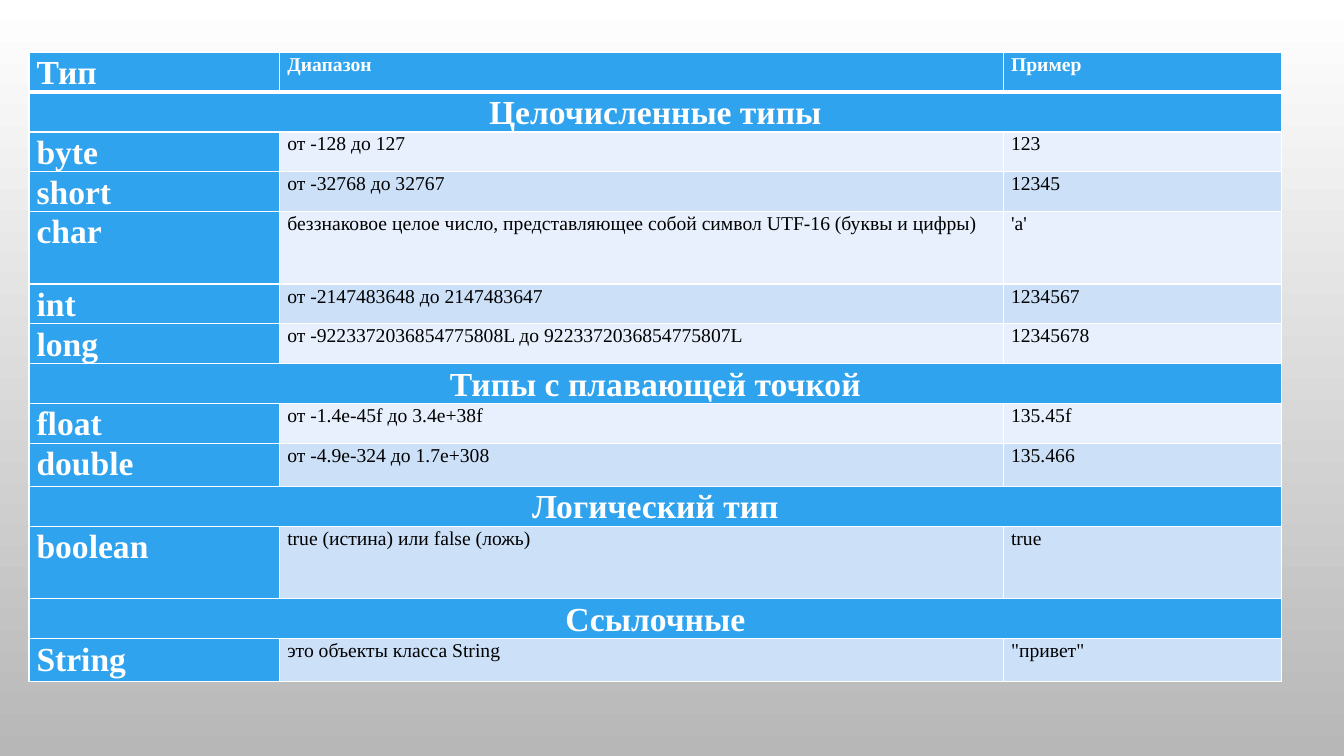
from dataclasses import dataclass

from lxml import etree
from pptx import Presentation
from pptx.dml.color import RGBColor
from pptx.enum import text
from pptx.oxml import ns
from pptx.util import Cm, Pt


@dataclass(frozen=True)
class Theme:
    font: str = "Times New Roman"
    large: int = 24
    small: int = 14
    white: str = "FFFFFF"
    black: str = "000000"
    grey: str = "B7B7B7"
    blue: str = "2FA3EE"
    bands: tuple = ("E7F0FC", "CCE0F8")


theme = Theme()


def add_borders(cell, bottom):
    """Draw white cell borders, 1 pt wide except for the given bottom width."""
    tc_pr = cell._tc.get_or_add_tcPr()
    widths = {"lnL": 1, "lnR": 1, "lnT": 1, "lnB": bottom}
    for i, (tag, width) in enumerate(widths.items()):
        ln = etree.Element(ns.qn(f"a:{tag}"), w=str(Pt(width)))
        fill = etree.SubElement(ln, ns.qn("a:solidFill"))
        etree.SubElement(fill, ns.qn("a:srgbClr"), val=theme.white)
        tc_pr.insert(i, ln)


# A row with one entry is a section heading across the whole table.
rows = [
    ("Тип", "Диапазон", "Пример"),
    ("Целочисленные типы",),
    ("byte", "от -128 до 127", "123"),
    ("short", "от -32768 до 32767", "12345"),
    ("char", "беззнаковое целое число, представляющее собой символ UTF-16 (буквы и цифры)", "'a'"),
    ("int", "от -2147483648 до 2147483647", "1234567"),
    ("long", "от -9223372036854775808L до 9223372036854775807L", "12345678"),
    ("Типы с плавающей точкой",),
    ("float", "от -1.4e-45f до 3.4e+38f", "135.45f"),
    ("double", "от -4.9e-324 до 1.7e+308", "135.466"),
    ("Логический тип",),
    ("boolean", "true (истина) или false (ложь)", "true"),
    ("Ссылочные",),
    ("String", "это объекты класса String", '"привет"'),
]
col_widths = [6.32, 18.24, 7.01]
row_height = 0.89
tall_rows = {"char": 1.83, "double": 1.09, "boolean": 1.83, "String": 1.09}
heights = [tall_rows.get(row[0], row_height) for row in rows]

prs = Presentation()
prs.slide_width, prs.slide_height = Cm(33.87), Cm(19.05)
s = prs.slides.add_slide(prs.slide_layouts[6])

bg = s.background.fill
bg.gradient()
bg.gradient_angle = 270
for stop, color in zip(bg.gradient_stops, (theme.white, theme.grey)):
    stop.color.rgb = RGBColor.from_string(color)

table = s.shapes.add_table(
    len(rows), len(col_widths), Cm(0.73), Cm(1.32), Cm(sum(col_widths)), Cm(sum(heights))
).table
for col, width in zip(table.columns, col_widths):
    col.width = Cm(width)
for row, height in zip(table.rows, heights):
    row.height = Cm(height)

for i, row in enumerate(rows):
    is_section = len(row) == 1
    if is_section:
        table.cell(i, 0).merge(table.cell(i, len(col_widths) - 1))
    for j in range(len(col_widths)):
        is_heading = i == 0 or j == 0 or is_section
        cell = table.cell(i, j)
        cell.margin_left = cell.margin_right = Cm(0.19)
        cell.margin_top = cell.margin_bottom = 0
        cell.fill.solid()
        cell.fill.fore_color.rgb = RGBColor.from_string(
            theme.blue if is_heading else theme.bands[i % 2]
        )
        add_borders(cell, bottom=3 if i == 0 else 1)
        if j >= len(row):
            continue
        p = cell.text_frame.paragraphs[0]
        p.text = row[j]
        p.line_spacing = 1.07
        p.alignment = text.PP_ALIGN.CENTER if is_section else text.PP_ALIGN.LEFT
        font = p.runs[0].font
        font.name = theme.font
        font.size = Pt(theme.large if j == 0 else theme.small)
        font.bold = is_heading
        font.color.rgb = RGBColor.from_string(theme.white if is_heading else theme.black)

prs.save("out.pptx")
